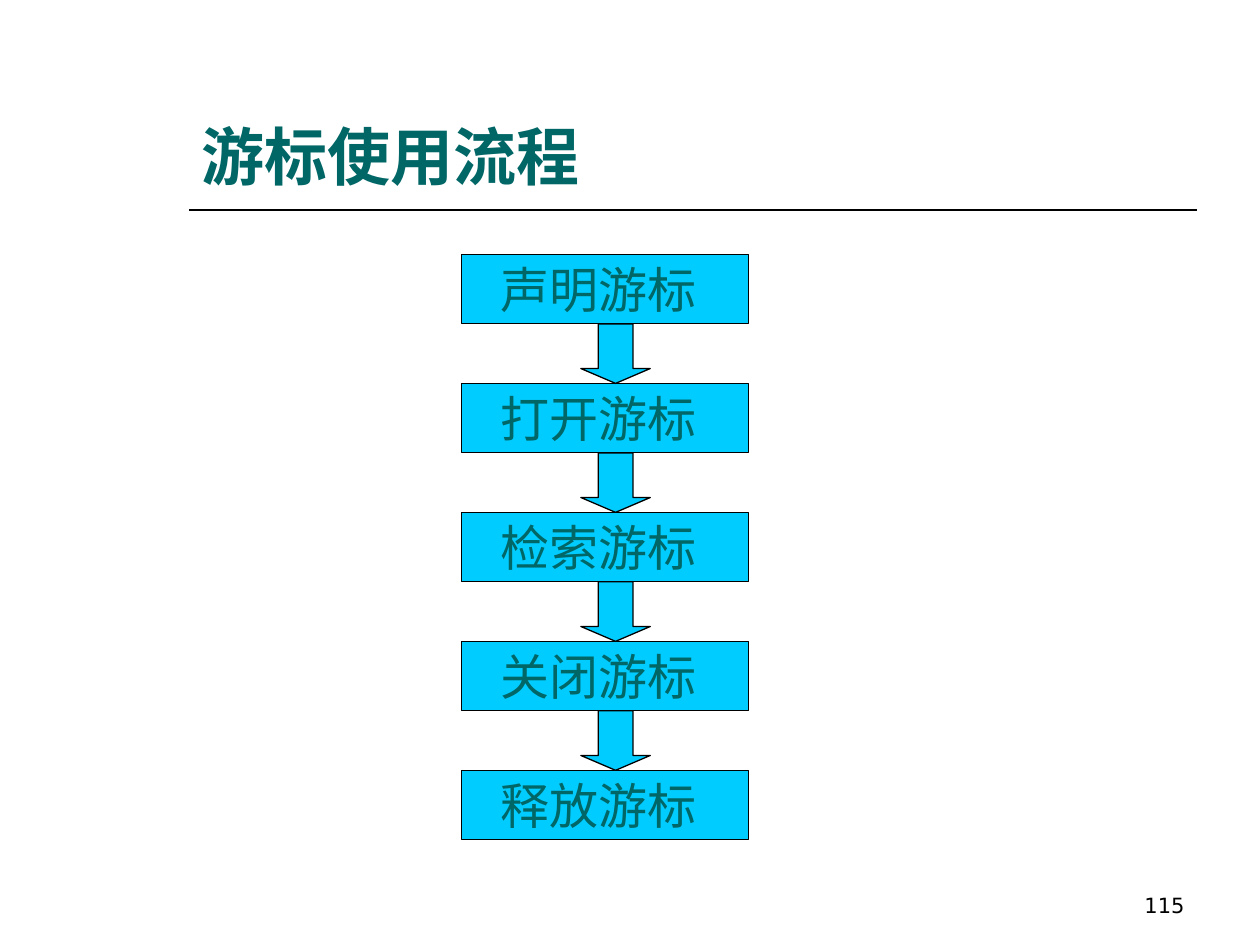
"""Build the cursor workflow slide: a title and five steps joined by block arrows."""
from lxml import etree
from pptx import Presentation
from pptx.dml.color import RGBColor
from pptx.enum.shapes import MSO_CONNECTOR, MSO_SHAPE
from pptx.enum.text import MSO_ANCHOR, MSO_AUTO_SIZE, PP_ALIGN
from pptx.oxml.ns import qn
from pptx.util import Cm, Pt

TEAL = RGBColor(0x00, 0x66, 0x66)
CYAN = RGBColor(0x00, 0xCC, 0xFF)
BLACK = RGBColor(0x00, 0x00, 0x00)

STEPS = ["声明游标", "打开游标", "检索游标", "关闭游标", "释放游标"]
TOP, PITCH, BOX_H = 5.13, 2.6, 1.4


def add_text(tf, text, font, size, color, align, anchor, bold=False):
    tf.auto_size = MSO_AUTO_SIZE.NONE
    tf.word_wrap = True
    tf.vertical_anchor = anchor
    p = tf.paragraphs[0]
    p.alignment = align
    r = p.add_run()
    r.text = text
    r.font.name = font
    r.font.size = Pt(size)
    r.font.bold = bold
    r.font.color.rgb = color
    etree.SubElement(r.font._element, qn("a:ea"), typeface=font)


def add_block(shapes, kind, left, top, width, height):
    sp = shapes.add_shape(kind, Cm(left), Cm(top), Cm(width), Cm(height))
    sp.shadow.inherit = False
    sp.fill.solid()
    sp.fill.fore_color.rgb = CYAN
    sp.line.color.rgb = BLACK
    sp.line.width = Pt(0.75)
    return sp


prs = Presentation()
prs.slide_width, prs.slide_height = Cm(25.4), Cm(19.05)
s = prs.slides.add_slide(prs.slide_layouts[5])

rule = s.shapes.add_connector(MSO_CONNECTOR.STRAIGHT, Cm(3.81), Cm(4.23), Cm(24.13), Cm(4.23))
rule.line.color.rgb = BLACK
rule.line.width = Pt(1)
etree.SubElement(rule._element.spPr, qn("a:effectLst"))

title = s.shapes.title
title.left, title.top, title.width, title.height = Cm(3.81), Cm(0.85), Cm(20.32), Cm(3.18)
add_text(title.text_frame, "游标使用流程", "Arial", 36, TEAL,
         PP_ALIGN.LEFT, MSO_ANCHOR.BOTTOM, bold=True)

number = s.shapes.add_textbox(Cm(18.2), Cm(17.35), Cm(5.93), Cm(1.27))
add_text(number.text_frame, "115", "DejaVu Sans", 12, BLACK,
         PP_ALIGN.RIGHT, MSO_ANCHOR.BOTTOM)

for i, step in enumerate(STEPS):
    sp = add_block(s.shapes, MSO_SHAPE.RECTANGLE, 9.3, TOP + i * PITCH, 5.79, BOX_H)
    sp.text_frame.margin_right = Cm(0.5)
    add_text(sp.text_frame, step, "Noto Sans CJK JP", 28, TEAL,
             PP_ALIGN.CENTER, MSO_ANCHOR.MIDDLE)

for i in range(len(STEPS) - 1):
    arrow = add_block(s.shapes, MSO_SHAPE.DOWN_ARROW, 11.71,
                      TOP + i * PITCH + BOX_H, 1.4, PITCH - BOX_H)
    arrow.adjustments[0] = 0.5
    arrow.adjustments[1] = 0.25

prs.save("out.pptx")
